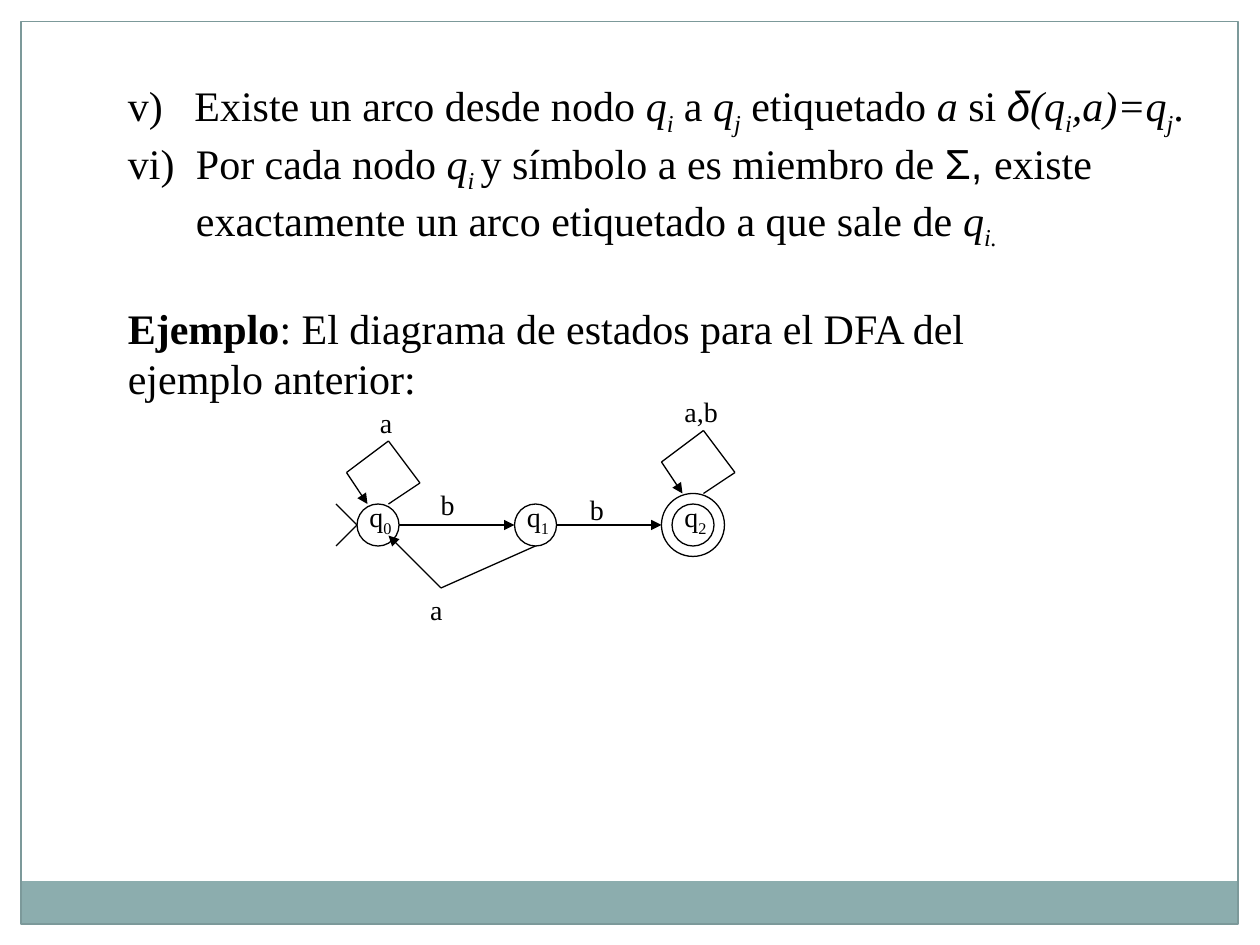
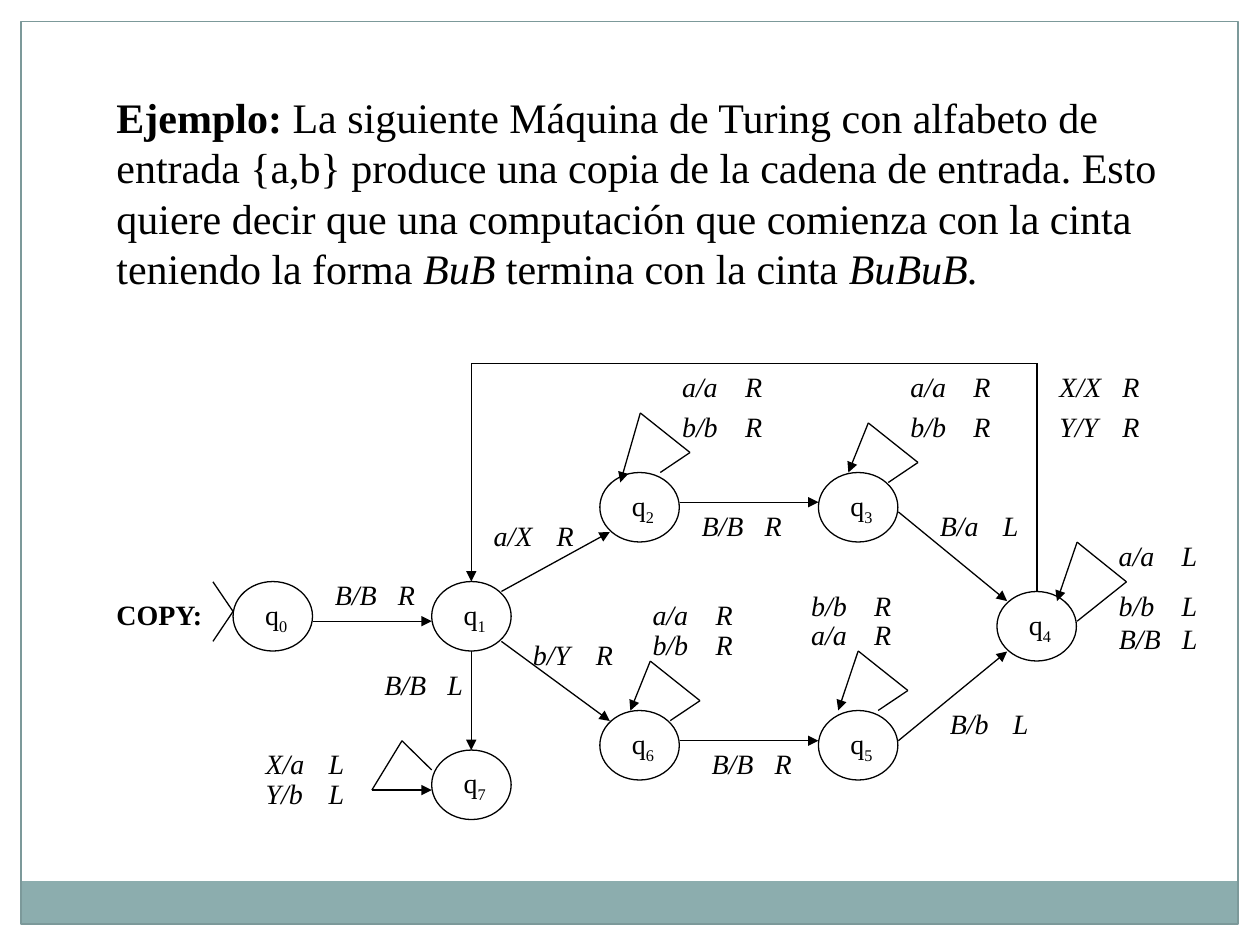
from typing import NamedTuple

from lxml import etree
from pptx import Presentation
from pptx.dml.color import RGBColor
from pptx.enum.shapes import MSO_CONNECTOR, MSO_SHAPE
from pptx.enum.text import MSO_AUTO_SIZE
from pptx.oxml.ns import qn
from pptx.util import Pt

RECT, OVAL = MSO_SHAPE.RECTANGLE, MSO_SHAPE.OVAL
STRAIGHT = MSO_CONNECTOR.STRAIGHT
GROW = MSO_AUTO_SIZE.SHAPE_TO_FIT_TEXT

BLACK, WHITE, BAND, FRAME = "000000", "FFFFFF", "8CADAE", "7C999A"
SERIF, SANS = "Times New Roman", "Arial"
SLIDE_W, SLIDE_H, MARGIN = 720, 540, 12
BODY_SIZE, LABEL_SIZE = 24, 16
LABEL_HEIGHT = 26.6
STATE_LABEL_WIDTH = 28
HANG = 38.9
LINE_WIDTH = 0.75

Point = tuple[float, float]


class Run(NamedTuple):
    text: str
    bold: bool = False
    italic: bool = False
    sub: bool = False
    font: str = SERIF


class Para(NamedTuple):
    runs: list[Run]
    left: float = 0
    first: float = 0
    number_from: int = 0
    before: float = 0
    tab: float = 0


class Label(NamedTuple):
    text: str
    x: float
    y: float
    w: float


class State(NamedTuple):
    index: int
    x: float
    y: float


class Loop(NamedTuple):
    """Self-transition: starts at (x, y) and ends end_dy below the start."""
    x: float
    y: float
    end_dy: float = 0


def italic(text: str, font: str = SERIF) -> Run:
    return Run(text, italic=True, font=font)


def sub(text: str) -> Run:
    return Run(text, italic=True, sub=True)


def rgb(value: str) -> RGBColor:
    return RGBColor.from_string(value)


def add_shape(s, kind, x: float, y: float, w: float, h: float,
              fill: str = "", line: str = "") -> None:
    sp = s.shapes.add_shape(kind, Pt(x), Pt(y), Pt(w), Pt(h))
    sp.shadow.inherit = False
    if fill:
        sp.fill.solid()
        sp.fill.fore_color.rgb = rgb(fill)
    else:
        sp.fill.background()
    if line:
        sp.line.color.rgb = rgb(line)
        sp.line.width = Pt(LINE_WIDTH)
    else:
        sp.line.fill.background()


def add_path(s, points: list[Point], arrow: bool = True) -> None:
    """Join the points with straight lines, with an arrowhead on the last."""
    for i, ((x1, y1), (x2, y2)) in enumerate(zip(points, points[1:]), 2):
        c = s.shapes.add_connector(STRAIGHT, Pt(x1), Pt(y1), Pt(x2), Pt(y2))
        c.line.color.rgb = rgb(BLACK)
        c.line.width = Pt(LINE_WIDTH)
        pr = c._element.spPr
        if arrow and i == len(points):
            etree.SubElement(pr.find(qn("a:ln")), qn("a:tailEnd"), type="triangle")
        etree.SubElement(pr, qn("a:effectLst"))


def add_loop(s, x: float, y: float, offsets: list[Point]) -> None:
    add_path(s, [(x, y)] + [(x + dx, y + dy) for dx, dy in offsets])


def format_para(p, para: Para) -> None:
    pr = p._p.get_or_add_pPr()
    pr.set("marL", str(Pt(para.left)))
    pr.set("indent", str(Pt(para.first)))
    if para.number_from:
        etree.SubElement(pr, qn("a:buAutoNum"), type="romanLcParenR",
                         startAt=str(para.number_from))
    if para.tab:
        tabs = etree.SubElement(pr, qn("a:tabLst"))
        etree.SubElement(tabs, qn("a:tab"), pos=str(Pt(para.tab)), algn="l")
    if para.before:
        p.space_before = Pt(para.before)


def add_text(s, x: float, y: float, w: float, h: float, paras: list[Para],
             size: float, wrap: bool = False) -> None:
    tf = s.shapes.add_textbox(Pt(x), Pt(y), Pt(w), Pt(h)).text_frame
    tf.word_wrap = wrap
    tf.auto_size = GROW
    for i, para in enumerate(paras):
        p = tf.add_paragraph() if i else tf.paragraphs[0]
        format_para(p, para)
        for run in para.runs:
            r = p.add_run()
            r.text = run.text
            r.font.name = run.font
            r.font.size = Pt(size)
            r.font.bold = run.bold
            r.font.italic = run.italic
            r.font.color.rgb = rgb(BLACK)
            if run.sub:
                r._r.get_or_add_rPr().set("baseline", "-25000")


def add_label(s, label: Label, bold: bool = False) -> None:
    add_text(s, label.x, label.y, label.w, LABEL_HEIGHT,
             [Para([Run(label.text, bold)])], LABEL_SIZE)


def add_move(s, label: Label) -> None:
    """Draw a Turing transition, with its move letter at a tab stop."""
    spare = 10
    add_text(s, label.x, label.y, label.w + spare, LABEL_HEIGHT,
             [Para([italic(label.text)], tab=label.w - 24)], LABEL_SIZE, wrap=True)


def add_state(s, state: State, w: float, h: float, dx: float, dy: float) -> None:
    """Draw a state; its name sits at (dx, dy) from the oval's corner."""
    add_shape(s, OVAL, state.x, state.y, w, h, line=BLACK)
    add_text(s, state.x + dx, state.y + dy, STATE_LABEL_WIDTH, LABEL_HEIGHT,
             [Para([Run("q"), Run(str(state.index), sub=True)])], LABEL_SIZE)


def new_slide(prs):
    s = prs.slides.add_slide(prs.slide_layouts[6])
    for x, y, w, h in [(0, 0, SLIDE_W, MARGIN),
                       (SLIDE_W - MARGIN, 0, MARGIN, SLIDE_H),
                       (0, 0, MARGIN, SLIDE_H)]:
        add_shape(s, RECT, x, y, w, h, fill=WHITE)
    add_shape(s, RECT, 11.75, 503.5, 695.5, 24.5, fill=BAND)
    add_shape(s, RECT, MARGIN, 12.2, 695.5, 515.75, line=FRAME)
    return s


def build_dfa_slide(prs) -> None:
    s = new_slide(prs)
    rules = [
        Para([Run("v)\tExiste un arco desde nodo "), italic("q"), sub("i"),
              Run(" a "), italic("q"), sub("j"), Run(" etiquetado "),
              italic("a"), Run(" si "), italic("δ", SANS), italic("(q"),
              sub("i"), italic(",a)=q"), sub("j"), Run(".")], 38, -38),
        Para([Run("Por cada nodo "), italic("q"), sub("i "),
              Run("y símbolo a es miembro de "), Run("Σ, ", font=SANS),
              Run("existe")], HANG, -HANG, number_from=6),
        Para([Run("exactamente un arco etiquetado a que sale de "),
              italic("q"), sub("i.")], HANG),
        Para([Run("Ejemplo", bold=True),
              Run(": El diagrama de estados para el DFA del")], before=28.8),
        Para([Run("ejemplo anterior:")]),
    ]
    add_text(s, 66, 42, 618.5, 237.6, rules, BODY_SIZE)

    size, axis = 24, 300
    xs = [204, 294, 384]
    for i, x in enumerate(xs):
        add_state(s, State(i, x, axis - size / 2), size, size, 0, -6)
    add_shape(s, OVAL, xs[2] - 6, axis - 18, 36, 36, line=BLACK)

    add_path(s, [(192, 288), (204, axis), (192, 312)], arrow=False)
    add_path(s, [(228, axis), (294, axis)])
    add_path(s, [(318, axis), (378, axis)])
    add_path(s, [(306, 312), (252, 336), (222, 306)])
    for x, y in [(222, 288), (402, 282)]:
        add_loop(s, x, y, [(18, -12), (0, -36), (-24, -18), (-12, 0)])

    for label in [Label("a", 210, 228, 21.5), Label("b", 244.7, 275, 22.5),
                  Label("b", 330, 278, 22.5), Label("a,b", 384, 222, 34),
                  Label("a", 238.7, 335, 21.5)]:
        add_label(s, label)


def build_turing_slide(prs) -> None:
    s = new_slide(prs)
    intro = Para([
        Run("Ejemplo:", bold=True),
        Run(" La siguiente Máquina de Turing con alfabeto de entrada {a,b} "
            "produce una copia de la cadena de entrada. Esto quiere decir que "
            "una computación que comienza con la cinta teniendo la forma "),
        italic("BuB"), Run(" termina con la cinta "), italic("BuBuB.")])
    add_text(s, 59.5, 48.8, 623.5, 151.2, [intro], BODY_SIZE, wrap=True)

    w, h = 45.4, 39.7
    col1, col2, col3 = 246.7, 342.8, 467.7
    row_top, row_mid, row_low = 270, 332.3, 406
    for state in [State(0, 133.2, row_mid), State(1, col1, row_mid),
                  State(2, col2, row_top), State(3, col3, row_top),
                  State(4, 569.7, 338), State(5, col3, row_low),
                  State(6, col2, row_low), State(7, col1, 428.6)]:
        add_state(s, state, w, h, 11.2, 5.5)

    q1_x, q4_x, return_y = 269.3, 592.5, 207.6
    for path in [
        [(178.6, 355), (col1, 355)],
        [(286.5, 338), (348.5, 304)],
        [(286.5, 366.5), (348.5, 412)],
        [(388.3, 287), (col3, 287)],
        [(513.3, 292.5), (575.5, 343.5)],
        [(388.3, 423.3), (col3, 423.3)],
        [(513.3, 423.3), (575.5, 372.3)],
        [(q4_x, 338), (q4_x, return_y), (q1_x, return_y), (q1_x, row_mid)],
        [(q1_x, 372), (q1_x, 428.6)],
        [(615.5, 355), (643.7, 332.5), (615.5, 309.8), (604, 343.5)],
        [(col1, 440), (229.7, 423.3), (212.5, 451.5), (col1, 451.5)],
    ]:
        add_path(s, path)
    add_path(s, [(121.7, 332.5), (133.2, 349.4), (121.7, 366.5)], arrow=False)

    for loop in [Loop(377.3, 270, 5.7), Loop(507.6, 275.7, -5.7),
                 Loop(383, 411.8, -5.7), Loop(501.8, 406)]:
        add_loop(s, loop.x, loop.y,
                 [(17, -11.4), (-11.4, -34), (-22.8, loop.end_dy)])

    for label in [
        Label("B/B\tR", 184.3, 326.7, 60.5), Label("a/X\tR", 275, 292.5, 58.3),
        Label("B/B\tL", 212.5, 378, 59), Label("X/a\tL", 144.7, 423.3, 57.6),
        Label("Y/b\tL", 144.7, 440, 56.9), Label("a/a\tR", 365.8, 338, 56.9),
        Label("b/b\tR", 365.8, 355, 56.9), Label("b/Y\tR", 297.4, 360.7, 53.3),
        Label("a/a\tR", 456.5, 349.4, 56.9), Label("b/b\tR", 456.5, 332.5, 56.9),
        Label("B/B\tR", 399.6, 423.3, 60.5), Label("B/b\tL", 535.7, 400.3, 57.6),
        Label("a/a\tR", 382.7, 207.5, 56.9), Label("b/b\tR", 382.7, 230.4, 56.9),
        Label("B/B\tR", 393.9, 287.3, 60.5), Label("b/b\tR", 513.2, 230.4, 56.9),
        Label("a/a\tR", 513.2, 207.5, 56.9), Label("B/a\tL", 530, 287.3, 57.6),
        Label("X/X\tR", 598.3, 207.5, 60.5), Label("Y/Y\tR", 598.3, 230.4, 58.3),
        Label("a/a\tL", 632.2, 304, 52.3), Label("b/b\tL", 632.2, 332.5, 52.3),
        Label("B/B\tL", 632.2, 351.7, 55.8),
    ]:
        add_move(s, label)
    add_label(s, Label("COPY:", 59.5, 338, 64.8), bold=True)


def main() -> None:
    prs = Presentation()
    prs.slide_width, prs.slide_height = Pt(SLIDE_W), Pt(SLIDE_H)
    build_dfa_slide(prs)
    build_turing_slide(prs)
    prs.save("out.pptx")


if __name__ == "__main__":
    main()
